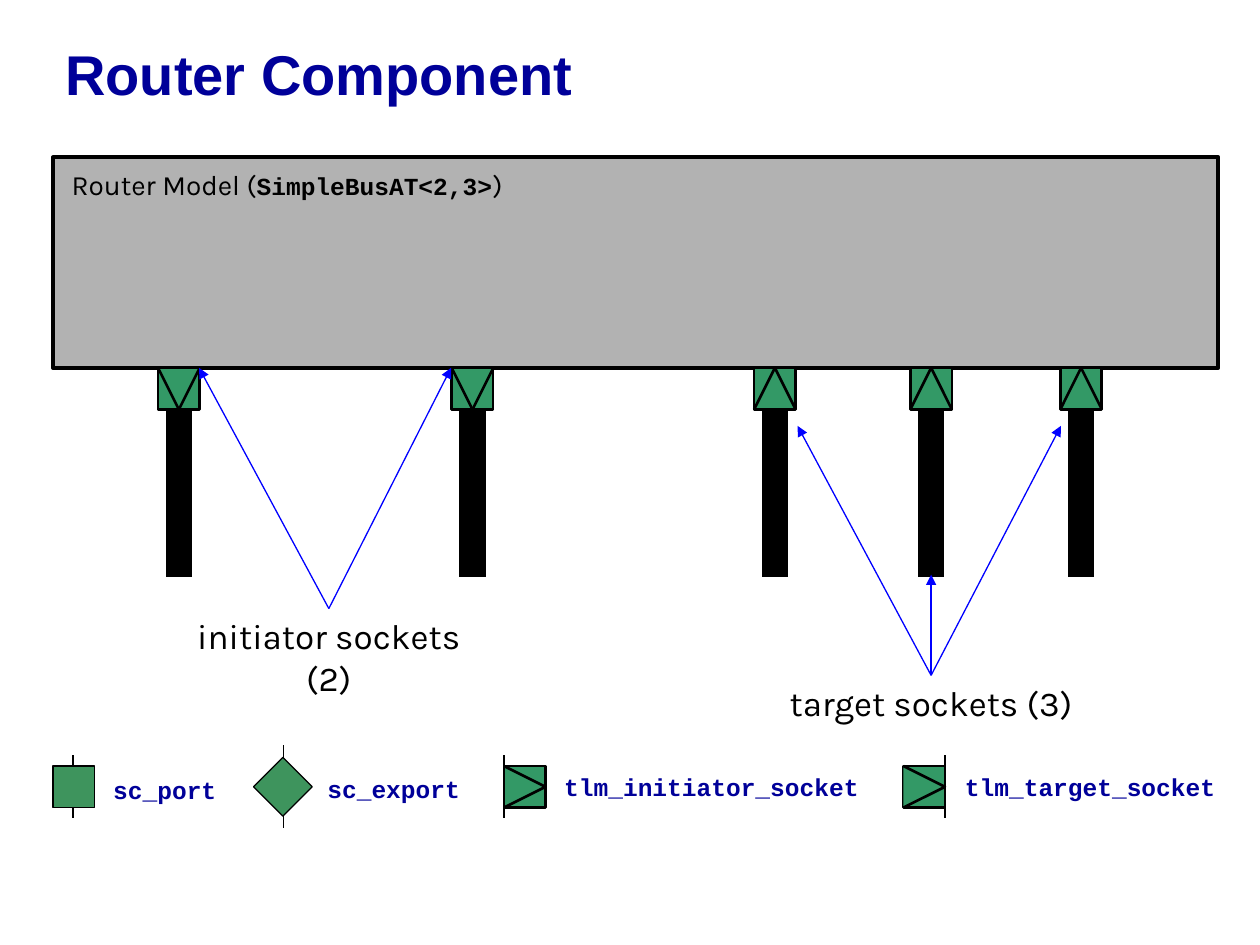
from lxml import etree
from pptx import Presentation, util as u
from pptx.dml.color import RGBColor
from pptx.enum import shapes, text
from pptx.oxml.ns import qn

NAVY, BLUE, BLACK, GRAY = "000099", "0000FF", "000000", "B2B2B2"
GREEN, PORT_GREEN = "339966", "3E945D"
SIDE, BUS_BOTTOM, STEM_BOTTOM, LEGEND_TOP = 0.33, 2.92, 4.58, 6.08
TITLE = dict(name="Arial", size=32, bold=True, color=NAVY)
CODE = dict(name="Courier New", size=14, bold=True, color=NAVY)
LABEL = dict(name="Karla", size=20, color=BLACK)
MODEL = [("Router Model (", LABEL | dict(size=16)),
         ("SimpleBusAT<2,3>", CODE | dict(color=BLACK)),
         (")", LABEL | dict(size=16))]
SOCKETS = [(1.42, "initiator"), (3.75, "initiator"),
           (6.15, "target"), (7.39, "target"), (8.58, "target")]
CALLOUTS = [
    ("initiator sockets (2)", 2.66, (2.61, 4.83), [(3.58, 2.92), (1.58, 2.92)]),
    ("target sockets (3)", 2.9, (7.39, 5.36),
     [(8.42, 3.38), (6.33, 3.38), (7.39, 4.56)]),
]
LEGEND = [
    ("sc_port", "port", 0.42, 0.58, (0.8, 6.1, 1.02, 0.34)),
    ("sc_export", "export", 2.08, 2.25, (2.5, 6.09, 1.25, 0.34)),
    ("tlm_initiator_socket", "socket", 4, 4, (4.38, 6.08, 2.54, 0.34)),
    ("tlm_target_socket", "socket", 7.17, 7.5, (7.56, 6.08, 2.19, 0.34)),
]


def rgb(value):
    """Turn a hex string into a colour."""
    return RGBColor.from_string(value)


def inches(values):
    """Convert a sequence of inch values to lengths."""
    return [u.Inches(value) for value in values]


def paint(shape, fill, width):
    """Give a shape a flat fill and a black outline."""
    shape.shadow.inherit = False
    shape.fill.solid()
    shape.fill.fore_color.rgb = rgb(fill)
    shape.line.color.rgb = rgb(BLACK)
    shape.line.width = u.Pt(width)


def add_rectangle(page, place, fill, width, rotation=0):
    """Add an outlined rectangle."""
    shape = page.shapes.add_shape(shapes.MSO_SHAPE.RECTANGLE, *inches(place))
    shape.rotation = rotation
    paint(shape, fill, width)


def add_line(page, start, end, width=0.75, color=BLACK, arrow=False):
    """Add a straight line, with an arrowhead at its end if wanted."""
    line = page.shapes.add_connector(
        shapes.MSO_CONNECTOR.STRAIGHT, *inches(start + end))
    line.line.color.rgb = rgb(color)
    line.line.width = u.Pt(width)
    if arrow:
        etree.SubElement(line._element.spPr.find(qn("a:ln")), qn("a:tailEnd"),
                         type="triangle")
    etree.SubElement(line._element.spPr, qn("a:effectLst"))


def add_text(page, place, spans, wrap=True, anchor="TOP", **layout):
    """Add a one-paragraph text box made of formatted spans."""
    box = page.shapes.add_textbox(*inches(place))
    frame = box.text_frame
    frame.word_wrap = wrap
    frame.vertical_anchor = text.MSO_ANCHOR[anchor]
    para = frame.paragraphs[0]
    for key, value in layout.items():
        setattr(para, key, value)
    for words, style in spans:
        span = para.add_run()
        span.text = words
        span.font.color.rgb = rgb(style["color"])
        values = dict(name=style["name"], size=u.Pt(style["size"]),
                      bold=style.get("bold", False))
        for key, value in values.items():
            setattr(span.font, key, value)


def add_socket(page, center, kind):
    """Add a socket below the bus, with its wedge and thick stem."""
    left, right = center - SIDE / 2, center + SIDE / 2
    bottom = BUS_BOTTOM + SIDE
    base, tip = (BUS_BOTTOM, bottom) if kind == "initiator" else (bottom, BUS_BOTTOM)
    add_line(page, (center, bottom), (center, STEM_BOTTOM), 15)
    add_rectangle(page, (left, BUS_BOTTOM, SIDE, SIDE), GREEN, 1.5)
    for side in (left, right):
        add_line(page, (side, base), (center, tip), 1.5)


def add_legend_entry(page, label, kind, left, line_x, place):
    """Add a legend symbol with its connection line and name."""
    reach = 0.33 if kind == "export" else 0.25
    middle = LEGEND_TOP + SIDE / 2
    square = (left, LEGEND_TOP, SIDE, SIDE)
    stroke = (line_x, middle - reach), (line_x, middle + reach)
    if kind == "socket":
        add_rectangle(page, square, GREEN, 1.5)
        corners = inches((left, LEGEND_TOP, left + SIDE, middle, left, LEGEND_TOP + SIDE))
        points = list(zip(corners[::2], corners[1::2]))
        builder = page.shapes.build_freeform(*points[0])
        builder.add_line_segments(points[1:], close=False)
        paint(builder.convert_to_shape(), GREEN, 1.5)
        add_line(page, *stroke)
    else:
        add_line(page, *stroke)
        add_rectangle(page, square, PORT_GREEN, 0.75, 45 if kind == "export" else 0)
    add_text(page, place, [(label, CODE)], wrap=False)


def add_callout(page, label, width, apex, ends):
    """Add a label centred below an apex, with arrows from the apex to its ends."""
    place = (apex[0] - width / 2, apex[1], width, 0.44)
    add_text(page, place, [(label, LABEL)], alignment=text.PP_ALIGN.CENTER)
    for end in ends:
        add_line(page, apex, end, color=BLUE, arrow=True)


def main():
    """Build the router component slide."""
    deck = Presentation()
    deck.slide_width, deck.slide_height = inches((10, 7.5))
    page = deck.slides.add_slide(deck.slide_layouts[6])
    add_text(page, (0.42, 0, 9.5, 1.25), [("Router Component", TITLE)],
             anchor="MIDDLE", line_spacing=0.85)
    for entry in LEGEND:
        add_legend_entry(page, *entry)
    add_rectangle(page, (0.42, 1.25, 9.25, BUS_BOTTOM - 1.25), GRAY, 2.25)
    add_text(page, (0.47, 1.33, 5.78, 0.32), MODEL,
             line_spacing=0.8, space_before=u.Pt(10))
    for socket in SOCKETS:
        add_socket(page, *socket)
    for callout in CALLOUTS:
        add_callout(page, *callout)
    deck.save("out.pptx")


if __name__ == "__main__":
    main()
